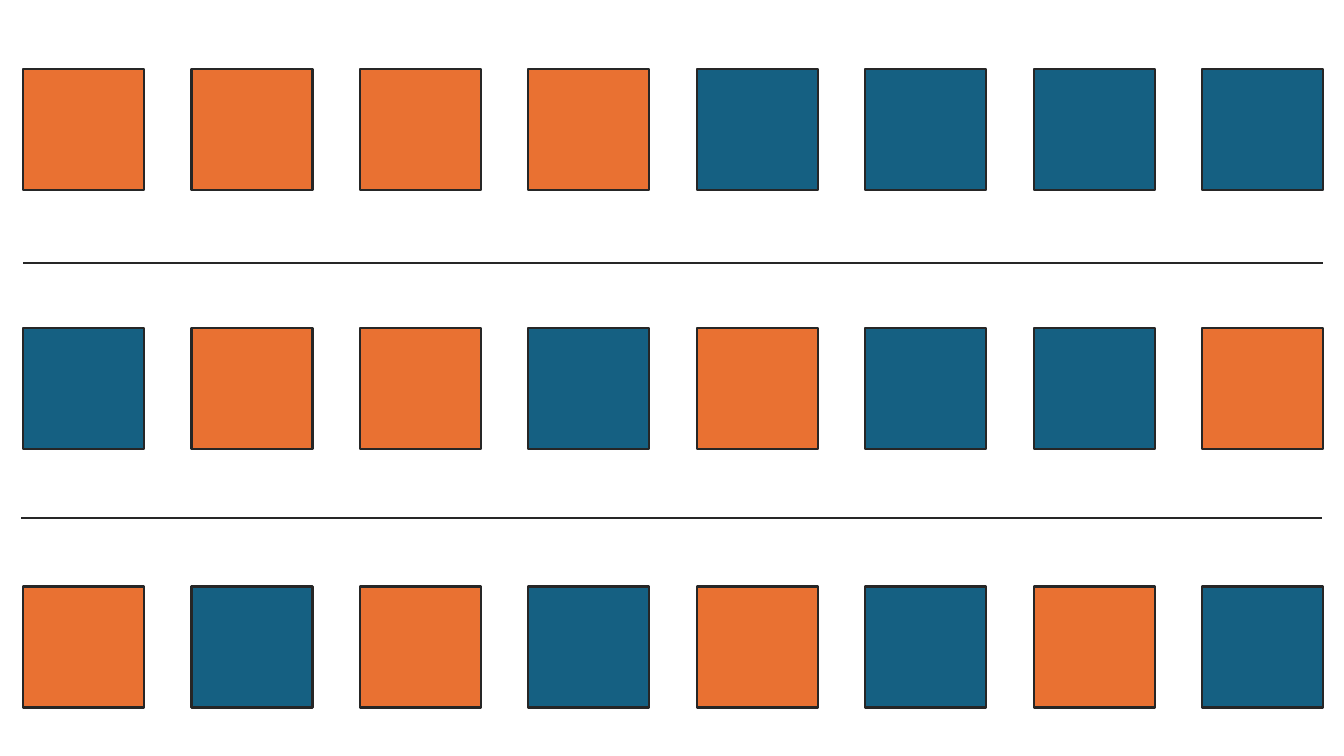
import pptx
import pptx.dml.color
import pptx.enum.shapes
import pptx.oxml
import pptx.util

Cm = pptx.util.Cm

COLOURS = {"O": "E97132", "B": "156082"}
OUTLINE = "262626"
SEQUENCES = ["OOOOBBBB", "BOOBOBBO", "OBOBOBOB"]
DIVIDERS = [(0.58, 33.35, 6.63), (0.53, 33.32, 13.06)]
SIDE = 3.05
FIRST_LEFT, LAST_LEFT = 0.58, 30.3
FIRST_TOP, LAST_TOP = 1.75, 14.78


def rgb(colour):
    return pptx.dml.color.RGBColor.from_string(colour)


def apply_format(target, values):
    for attribute, value in values.items():
        setattr(target, attribute, value)


def draw_outline(line):
    line.fill.solid()
    apply_format(line, {"width": pptx.util.Pt(1.5)})
    apply_format(line.color, {"rgb": rgb(OUTLINE)})


def add_square(slide, left, top, colour):
    square = slide.shapes.add_shape(
        pptx.enum.shapes.MSO_SHAPE.RECTANGLE,
        Cm(left), Cm(top), Cm(SIDE), Cm(SIDE))
    square.fill.solid()
    apply_format(square.fill.fore_color, {"rgb": rgb(colour)})
    apply_format(square.shadow, {"inherit": False})
    draw_outline(square.line)


def add_divider(slide, start, end, height):
    divider = slide.shapes.add_connector(
        pptx.enum.shapes.MSO_CONNECTOR.STRAIGHT,
        Cm(start), Cm(height), Cm(end), Cm(height))
    draw_outline(divider.line)
    divider._element.spPr.append(pptx.oxml.parse_xml(
        '<a:effectLst xmlns:a="http://schemas.openxmlformats.org/drawingml/2006/main"/>'))


def add_sequences(slide):
    row_step = (LAST_TOP - FIRST_TOP) / (len(SEQUENCES) - 1)
    for row, sequence in enumerate(SEQUENCES):
        column_step = (LAST_LEFT - FIRST_LEFT) / (len(sequence) - 1)
        for column, letter in enumerate(sequence):
            add_square(slide, FIRST_LEFT + column * column_step,
                       FIRST_TOP + row * row_step, COLOURS[letter])


def main():
    deck = pptx.Presentation()
    apply_format(deck, {"slide_width": Cm(33.87), "slide_height": Cm(19.05)})
    slide = deck.slides.add_slide(deck.slide_layouts[6])
    add_sequences(slide)
    for start, end, height in DIVIDERS:
        add_divider(slide, start, end, height)
    deck.save("out.pptx")


if __name__ == "__main__":
    main()
